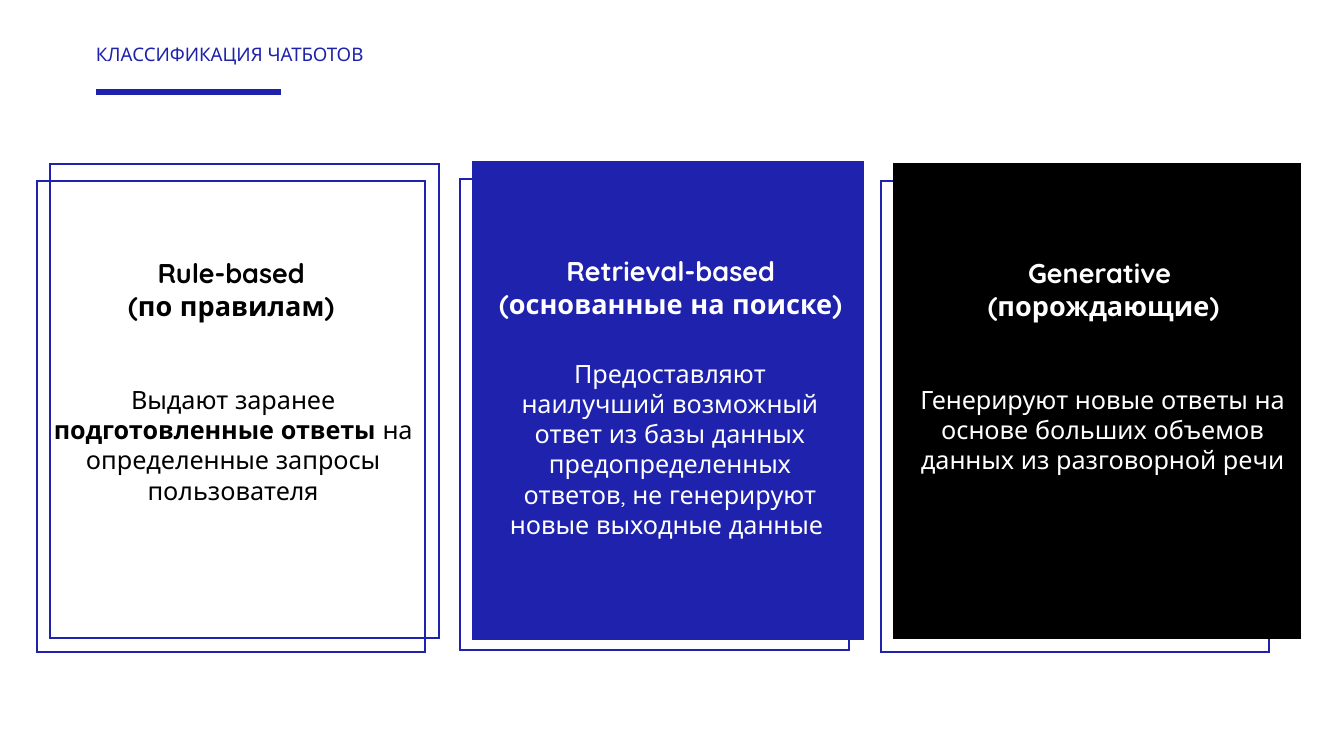
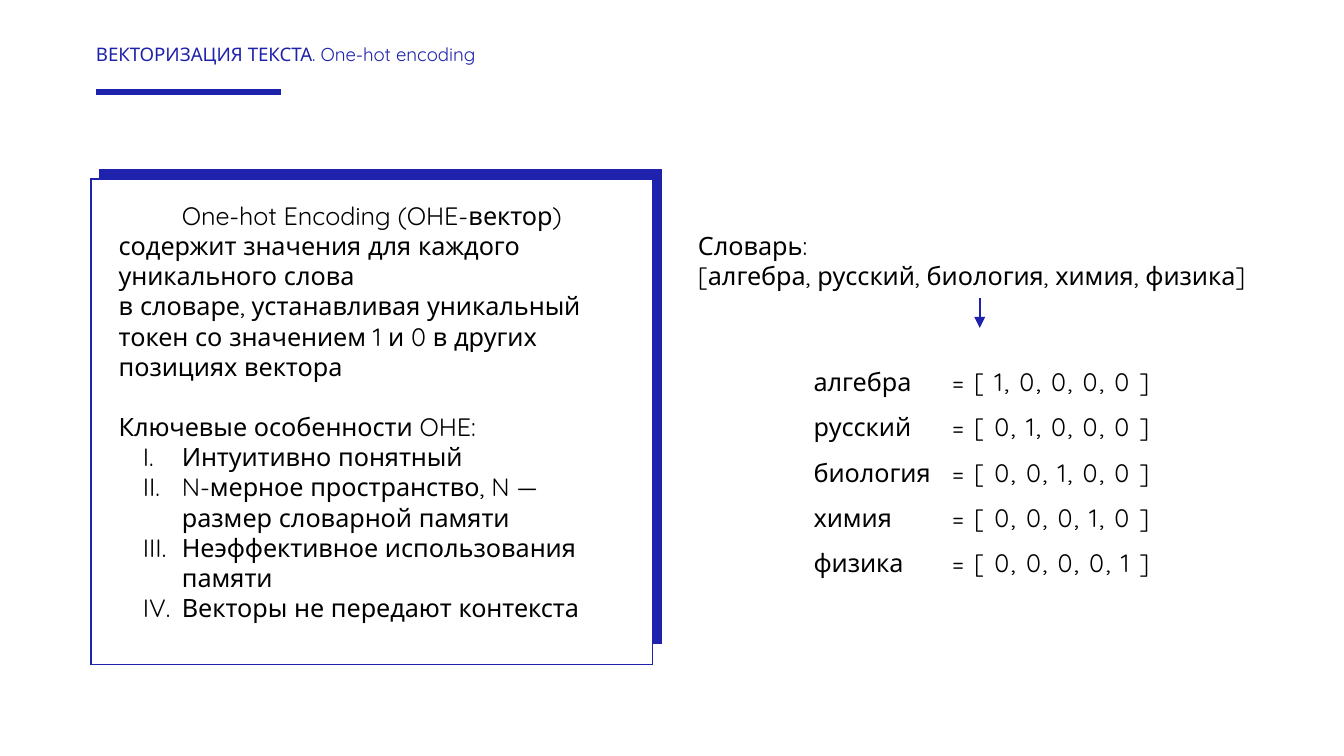
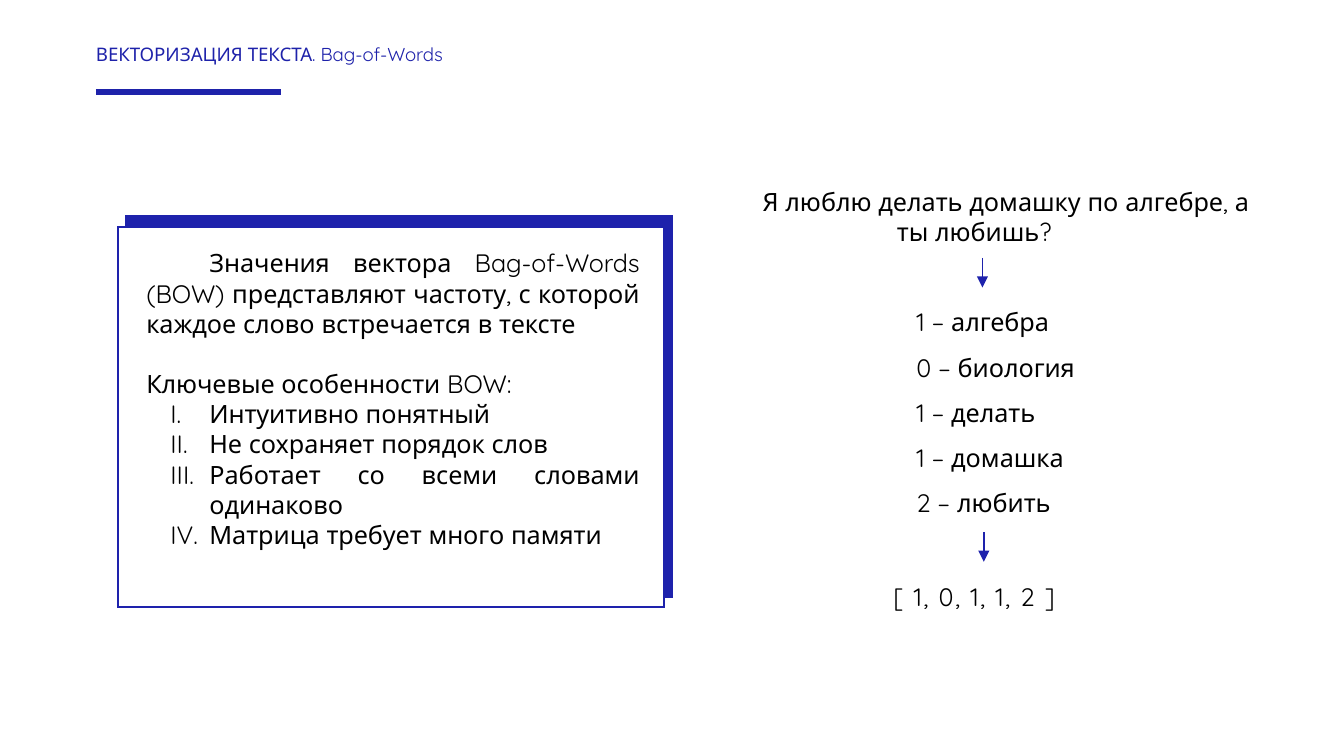
from collections import namedtuple
from copy import deepcopy

from pptx import Presentation
from pptx import util as u
from pptx.dml.color import RGBColor
from pptx.enum import shapes, text
from pptx.oxml.ns import qn
from pptx.oxml.xmlchemy import OxmlElement

BLUE = RGBColor(0x1E, 0x22, 0xAC)
HEAD_BLUE = RGBColor(0x1E, 0x22, 0xAA)
BLACK = RGBColor(0, 0, 0)
WHITE = RGBColor(255, 255, 255)
FONT = "Quicksand"
BODY, CARD_HEAD, HEAD = 13.5, 14.5, 10

WIDTH = u.Inches(10)
HEIGHT = u.Emu(WIDTH * 9 // 16)
COL = WIDTH / 100  # square grid: 100 columns across, rows of the same size

LEFT, CENTER, JUSTIFY = (
    text.PP_ALIGN.LEFT, text.PP_ALIGN.CENTER, text.PP_ALIGN.JUSTIFY)
PLAIN_INSETS = (1, 0.5, 1, 0.5)
CARD_INSETS = (0.4, 0.5, 0.4, 0.5)
HEAD_INSETS = (0, 0.5, 1, 0.5)

# Paragraph styles: margin and indent in columns
FLAT = dict(margin=1.1)
FIRST_LINE = dict(margin=1.1, indent=4.7)
ROMAN = dict(margin=5.8, indent=-2.9, bullet="romanUcPeriod")
SPACED = dict(FIRST_LINE, line_spacing=1.5)
VECTOR_ROW = dict(SPACED, tab=14)
AFTER_GAP = dict(FLAT, space_before=u.Pt(16))
LOOSE = dict(spc=90)  # wide letter spacing of vectors

Box = namedtuple("Box", "x y w h")


def within(box, dx, dy, w, h):
    return Box(box.x + dx, box.y + dy, w, h)


def grid(*values):
    return [u.Emu(round(v * COL)) for v in values]


def add_child(parent, tag, **attrs):
    child = OxmlElement(tag)
    for name, value in attrs.items():
        child.set(name, str(value))
    parent.append(child)
    return child


def add_rect(slide, box, fill=None, line=BLUE):
    sp = slide.shapes.add_shape(shapes.MSO_SHAPE.RECTANGLE, *grid(*box))
    sp.shadow.inherit = False
    if fill is None:
        sp.fill.background()
    else:
        sp.fill.solid()
        sp.fill.fore_color.rgb = fill
    sp.line.color.rgb = line
    sp.line.width = u.Pt(1)
    add_child(sp.line._get_or_add_ln(), "a:miter", lim=800000)


def add_line(slide, start, end, color=BLUE, width=1, arrow=False):
    line = slide.shapes.add_connector(
        shapes.MSO_CONNECTOR.STRAIGHT, *grid(*start, *end))
    line.line.color.rgb = color
    line.line.width = u.Pt(width)
    if arrow:
        add_child(line.line._get_or_add_ln(), "a:tailEnd", type="triangle")
    add_child(line._element.spPr, "a:effectLst")


def add_down_arrow(slide, x, y):
    add_line(slide, (x, y), (x, y + 2.2), arrow=True)


def style_paragraph(p, margin=0, indent=0, bullet=None, tab=None, **formats):
    pPr = p._p.get_or_add_pPr()
    for name, value in zip(("marL", "indent"), grid(margin, indent)):
        pPr.set(name, str(value))
    if bullet:
        add_child(pPr, "a:buFont", typeface=FONT)
        add_child(pPr, "a:buAutoNum", type=bullet)
    if tab:
        stops = add_child(pPr, "a:tabLst")
        add_child(stops, "a:tab", pos=grid(tab)[0], algn="l")
    for name, value in formats.items():
        setattr(p, name, value)


def add_run(p, words, size, color, bold=False, spc=None):
    r = p.add_run()
    r.text = words
    for name, value in dict(size=u.Pt(size), name=FONT, bold=bold).items():
        setattr(r.font, name, value)
    r.font.color.rgb = color
    if spc:
        r._r.get_or_add_rPr().set("spc", str(spc))
    return r


def add_text(slide, box, paragraphs, size=BODY, color=BLACK, align=LEFT,
             bold=False, insets=PLAIN_INSETS):
    """Each paragraph is (content, style); content is a string, with \\v for a
    line break, or a list of (words, run format)."""
    tf = slide.shapes.add_textbox(*grid(*box)).text_frame
    tf.word_wrap = True
    for side, value in zip(("left", "top", "right", "bottom"), grid(*insets)):
        setattr(tf, f"margin_{side}", value)
    for n, (content, style) in enumerate(paragraphs):
        p = tf.add_paragraph() if n else tf.paragraphs[0]
        p.alignment = align
        style_paragraph(p, **style)
        if not isinstance(content, str):
            for words, fmt in content:
                add_run(p, words, size, color, **fmt)
            continue
        for k, words in enumerate(content.split("\v")):
            if k:
                p.add_line_break()
            r = add_run(p, words, size, color, bold)
        for br in p._p.findall(qn("a:br")):
            br.append(deepcopy(r._r.rPr))


def styled(lines, style):
    return [(line, style) for line in lines]


def new_slide(prs, title):
    slide = prs.slides.add_slide(prs.slide_layouts[6])
    add_text(slide, Box(7.14, 2.7, 56.2, 4.3), [(title, {})], HEAD, HEAD_BLUE,
             insets=HEAD_INSETS)
    add_line(slide, (7.14, 6.86), (20.9, 6.86), HEAD_BLUE, 3)
    return slide


def add_card(slide, box, heading, heading_box, body, body_box, fill, line, color):
    """Card over an offset frame; its text boxes are measured from the card."""
    add_rect(slide, within(box, -0.95, 1.3, 28.9, 35))
    add_rect(slide, box, fill, line)
    add_text(slide, within(box, *heading_box), styled(heading, {}), CARD_HEAD,
             color, CENTER, bold=True, insets=CARD_INSETS)
    add_text(slide, within(box, *body_box), [(body, {})], BODY, color, CENTER,
             insets=CARD_INSETS)


def add_panel(slide, front, back, intro, heading, points, align):
    """White panel with a blue one behind it and a numbered list inside."""
    add_rect(slide, back, BLUE)
    add_rect(slide, front, WHITE)
    add_text(slide, within(front, 0, 1.05, front.w - 0.8, front.h - 8),
             [(intro, FIRST_LINE), (heading, AFTER_GAP), *styled(points, ROMAN)],
             align=align)


def one_hot(size, hot):
    return "[ " + ", ".join(str(int(i == hot)) for i in range(size)) + " ]"


def classification_slide(prs):
    slide = new_slide(prs, "КЛАССИФИКАЦИЯ ЧАТБОТОВ")
    add_card(slide, Box(3.7, 12.2, 29, 35.3),
             ("Rule-based", "(по правилам)"), (4.1, 6.4, 18.8, 5.8),
             [("Выдают заранее ", {}),
              ("подготовленные ответы", dict(bold=True)),
              (" на определенные запросы пользователя", {})],
             (-0.5, 15.9, 28.3, 10.1), None, BLUE, BLACK)
    add_card(slide, Box(35.2, 12.05, 29, 35.5),
             ("Retrieval-based", "(основанные на поиске)"), (1, 6.4, 27.4, 5.8),
             "Предоставляют наилучший возможный ответ из базы данных "
             "предопределенных ответов, не генерируют новые выходные данные ",
             (1.6, 14.1, 26.1, 14.6), BLUE, BLUE, WHITE)
    add_card(slide, Box(66.5, 12.2, 30.2, 35.3),
             ("Generative ", "(порождающие)"), (6, 6.4, 19.2, 5.8),
             "Генерируют новые ответы на основе больших объемов данных "
             "из разговорной речи",
             (1.4, 15.9, 28.3, 10.1), BLACK, BLACK, WHITE)


def one_hot_slide(prs):
    slide = new_slide(prs, "ВЕКТОРИЗАЦИЯ ТЕКСТА. One-hot encoding")
    add_panel(slide, Box(6.75, 13.35, 41.8, 36.1), Box(7.4, 12.65, 41.8, 35.2),
              "One-hot Encoding (OHE-вектор) содержит значения для каждого "
              "уникального слова \vв словаре, устанавливая уникальный токен "
              "со значением 1 и 0 в других позициях вектора",
              "Ключевые особенности OHE:",
              ("Интуитивно понятный",
               "N-мерное пространство, N — размер словарной памяти",
               "Неэффективное использования памяти",
               "Векторы не передают контекста"), LEFT)
    words = ("алгебра", "русский", "биология", "химия", "физика")
    add_text(slide, Box(50.95, 16.65, 46, 7.8),
             styled(("Словарь:", f"[{', '.join(words)}]"), {}))
    rows = [[(f"{word}\t", {}), (f"= {one_hot(len(words), i)}", LOOSE)]
            for i, word in enumerate(words)]
    add_text(slide, Box(53.75, 25.65, 38.5, 20.3), styled(rows, VECTOR_ROW))
    add_down_arrow(slide, 72.9, 22.2)


def bag_of_words_slide(prs):
    slide = new_slide(prs, "ВЕКТОРИЗАЦИЯ ТЕКСТА. Bag-of-Words")
    add_panel(slide, Box(8.8, 16.9, 40.6, 28.3), Box(9.4, 16.1, 40.6, 28.3),
              "Значения вектора Bag-of-Words (BOW) представляют частоту, "
              "с которой каждое слово встречается в тексте",
              "Ключевые особенности BOW:",
              ("Интуитивно понятный", "Не сохраняет порядок слов",
               "Работает со всеми словами одинаково",
               "Матрица требует много памяти"), JUSTIFY)
    add_text(slide, Box(48.8, 13.35, 46.3, 7.8),
             [("Я люблю делать домашку по алгебре, а ты любишь?", FIRST_LINE)],
             align=CENTER)
    counts = dict(алгебра=1, биология=0, делать=1, домашка=1, любить=2)
    add_text(slide, Box(61.4, 21.2, 23.3, 17.7),
             styled([f"{n} – {word}" for word, n in counts.items()], SPACED),
             align=JUSTIFY)
    vector = f"[ {', '.join(map(str, counts.values()))} ]"
    add_text(slide, Box(64.4, 42.8, 19.4, 5.6), [([(vector, LOOSE)], FLAT)],
             align=JUSTIFY)
    add_down_arrow(slide, 73.1, 19.2)
    add_down_arrow(slide, 73.2, 39.6)


def main():
    prs = Presentation()
    prs.slide_width, prs.slide_height = WIDTH, HEIGHT
    for build in (classification_slide, one_hot_slide, bag_of_words_slide):
        build(prs)
    prs.save("out.pptx")


if __name__ == "__main__":
    main()
